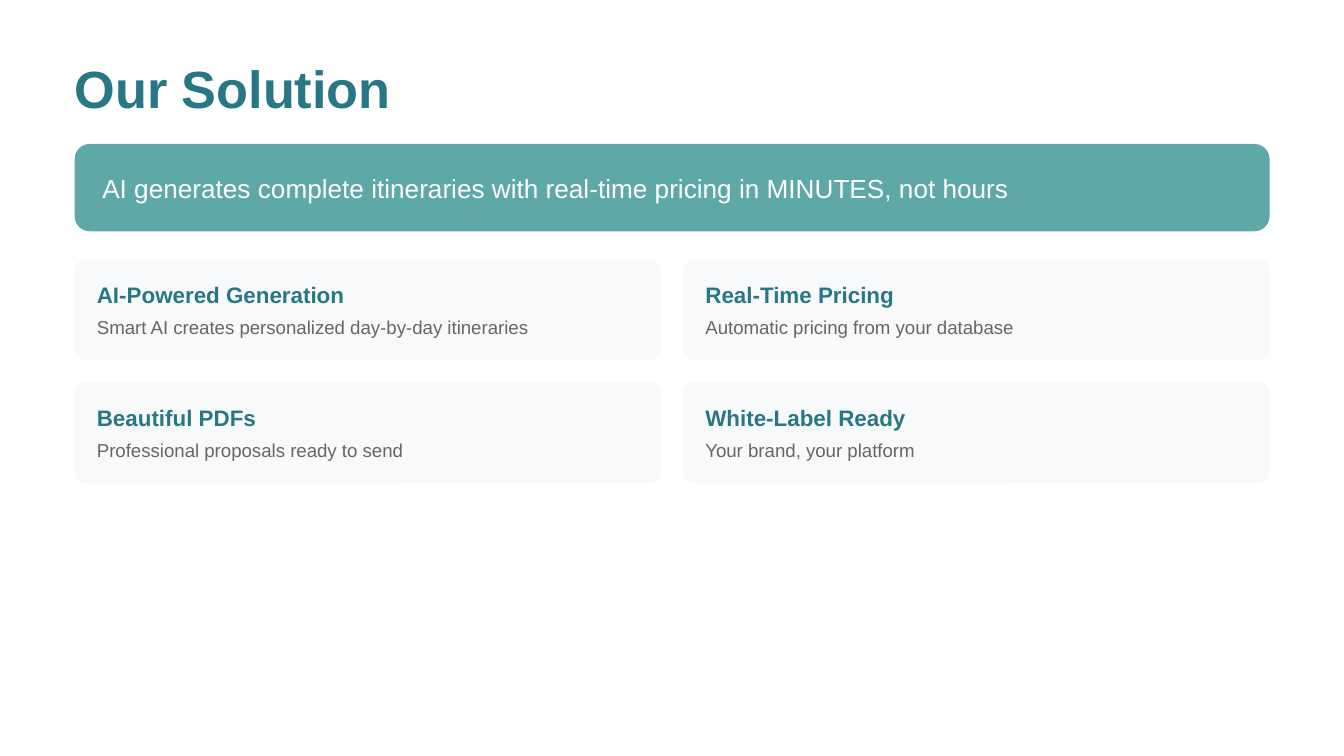
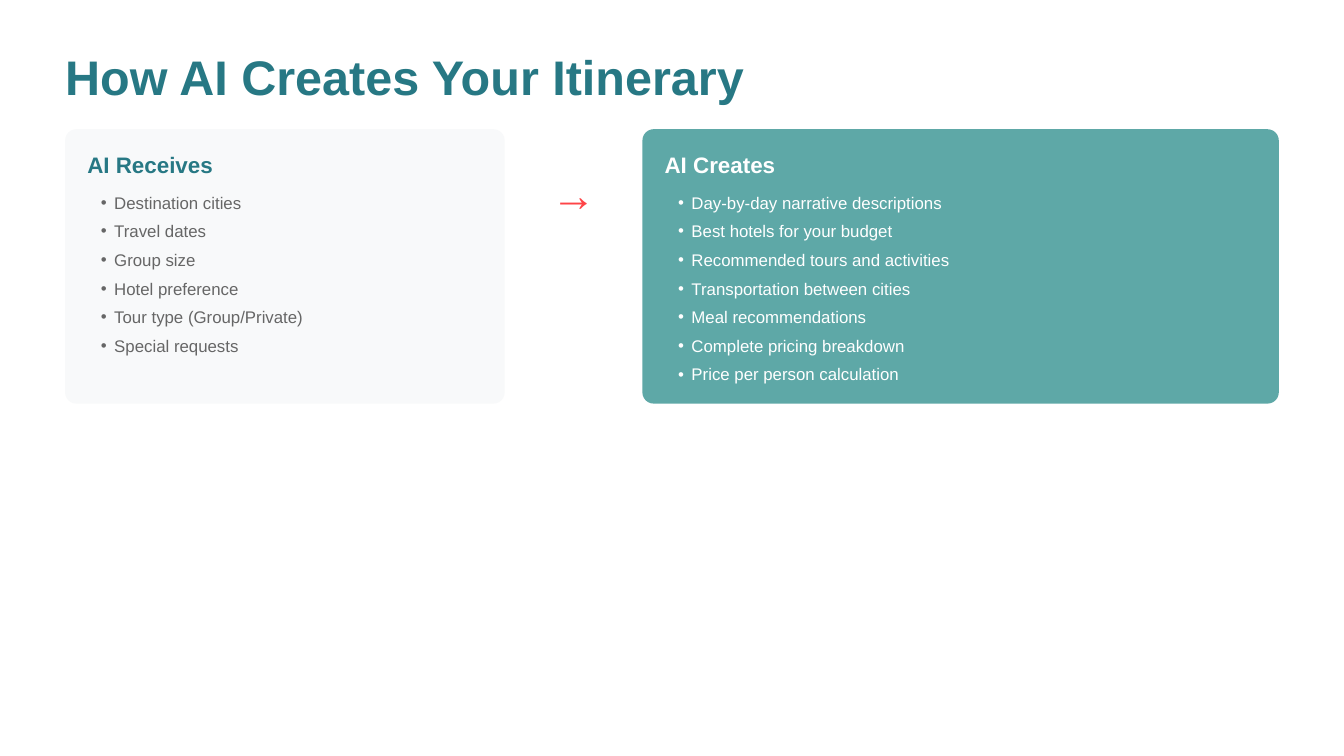
from dataclasses import dataclass

from lxml import etree
from pptx import Presentation
from pptx import util as u
from pptx.dml.color import RGBColor
from pptx.enum import shapes, text
from pptx.oxml import ns

WIDTH, HEIGHT = u.Inches(10), u.Inches(5.625)
# The grid has 100 columns and 100 rows
COLUMN, ROW = WIDTH / 100, HEIGHT / 100
PAD_X, PAD_Y = 1.65, 2.93

FONT = "Arial"
TEAL = RGBColor(0x27, 0x78, 0x84)
LIGHT_TEAL = RGBColor(0x5E, 0xA8, 0xA7)
PALE = RGBColor(0xF8, 0xF9, 0xFA)
GREY = RGBColor(0x66, 0x66, 0x66)
CORAL = RGBColor(0xFE, 0x44, 0x47)
WHITE = RGBColor(0xFF, 0xFF, 0xFF)

TITLE_ONLY, TWO_CONTENT = 5, 3

FEATURES = [
    ("AI-Powered Generation", "Smart AI creates personalized day-by-day itineraries"),
    ("Real-Time Pricing", "Automatic pricing from your database"),
    ("Beautiful PDFs", "Professional proposals ready to send"),
    ("White-Label Ready", "Your brand, your platform"),
]
RECEIVES = [
    "Destination cities", "Travel dates", "Group size", "Hotel preference",
    "Tour type (Group/Private)", "Special requests",
]
CREATES = [
    "Day-by-day narrative descriptions", "Best hotels for your budget",
    "Recommended tours and activities", "Transportation between cities",
    "Meal recommendations", "Complete pricing breakdown",
    "Price per person calculation",
]


@dataclass
class Box:
    """An area in grid columns and rows."""
    left: float
    top: float
    width: float
    height: float

    def inner(self, dx, dy, height):
        return Box(self.left + dx, self.top + dy, self.width - 2 * dx, height)

    def lengths(self):
        return (round(self.left * COLUMN), round(self.top * ROW),
                round(self.width * COLUMN), round(self.height * ROW))


def place(shape, box):
    shape.left, shape.top, shape.width, shape.height = box.lengths()


def write(shape, lines, size, color, bold=False, align=text.PP_ALIGN.LEFT, after=0):
    """Fill a shape with one paragraph per line, without insets."""
    frame = shape.text_frame
    frame.word_wrap = True
    frame.auto_size = text.MSO_AUTO_SIZE.NONE
    frame.vertical_anchor = text.MSO_ANCHOR.TOP
    frame.margin_left = frame.margin_right = frame.margin_top = frame.margin_bottom = 0
    for index, line in enumerate(lines):
        para = frame.add_paragraph() if index else frame.paragraphs[0]
        para.alignment = align
        para.space_before, para.space_after = u.Pt(0), u.Pt(after)
        span = para.add_run()
        span.text = line
        span.font.name, span.font.size = FONT, u.Pt(size)
        span.font.bold, span.font.color.rgb = bold, color


def add_title(page, words, box, size):
    place(page.shapes.title, box)
    write(page.shapes.title, [words], size, TEAL, bold=True)


def add_label(page, words, box, size, color, **style):
    write(page.shapes.add_textbox(*box.lengths()), [words], size, color, **style)


def add_card(page, box, fill, rounding):
    card = page.shapes.add_shape(shapes.MSO_SHAPE.ROUNDED_RECTANGLE, *box.lengths())
    card.adjustments[0] = rounding
    card.shadow.inherit = False
    card.fill.solid()
    card.fill.fore_color.rgb = fill
    card.line.fill.background()
    return card


def add_heading(page, words, box, color):
    add_label(page, words, box.inner(PAD_X, PAD_Y, 3.4), 12, color, bold=True)


def add_banner(page, box, words):
    add_card(page, box, LIGHT_TEAL, 0.172)
    add_label(page, words, box.inner(2.05, 3.7, 4.1), 14, WHITE)


def add_feature_grid(page, box, features, columns=2):
    rows = len(features) // columns
    width = (box.width - PAD_X * (columns - 1)) / columns
    height = (box.height - PAD_Y * (rows - 1)) / rows
    for index, (heading, detail) in enumerate(features):
        row, column = divmod(index, columns)
        cell = Box(box.left + column * (width + PAD_X),
                   box.top + row * (height + PAD_Y), width, height)
        add_card(page, cell, PALE, 0.112)
        add_heading(page, heading, cell, TEAL)
        add_label(page, detail, cell.inner(PAD_X, 7.45, 2.85), 10, GREY)


def add_list_panel(page, body, box, heading, items, fill, heading_color, color):
    card = add_card(page, box, fill, 0.041)
    add_heading(page, heading, box, heading_color)
    # Bullet list, brought in front of its card
    card.element.addnext(body.element)
    place(body, box.inner(PAD_X, 8.35, 3.43 * len(items)))
    write(body, items, 9, color, after=4.5)
    body.text_frame.margin_left = u.Inches(0.1)
    for para in body.text_frame.paragraphs:
        properties = para._p.get_or_add_pPr()
        properties.set("marL", str(u.Inches(0.1)))
        properties.set("indent", str(-u.Inches(0.1)))
        etree.SubElement(properties, ns.qn("a:buChar")).set("char", "•")


def build_solution(deck):
    page = deck.slides.add_slide(deck.slide_layouts[TITLE_ONLY])
    add_title(page, "Our Solution", Box(5.56, 7.5, 90.7, 8), 28)
    add_banner(page, Box(5.56, 19.05, 88.9, 11.55),
               "AI generates complete itineraries with real-time pricing in MINUTES, not hours")
    add_feature_grid(page, Box(5.56, 34.3, 88.9, 29.6), FEATURES)


def build_process(deck):
    page = deck.slides.add_slide(deck.slide_layouts[TWO_CONTENT])
    add_title(page, "How AI Creates Your Itinerary", Box(4.85, 6.2, 92.1, 7.3), 26)
    inputs, outputs = Box(4.85, 17.1, 32.7, 36.3), Box(47.8, 17.1, 47.35, 36.3)
    add_list_panel(page, page.placeholders[1], inputs, "AI Receives", RECEIVES,
                   PALE, TEAL, GREY)
    # Arrow centred in the gap between the panels
    middle = (inputs.left + inputs.width + outputs.left) / 2
    add_label(page, "→", Box(middle - 1.7, inputs.top + 4.95, 3.4, 6.95), 24, CORAL,
              align=text.PP_ALIGN.CENTER)
    add_list_panel(page, page.placeholders[2], outputs, "AI Creates", CREATES,
                   LIGHT_TEAL, WHITE, WHITE)


def main():
    deck = Presentation()
    deck.slide_width, deck.slide_height = WIDTH, HEIGHT
    build_solution(deck)
    build_process(deck)
    deck.save("out.pptx")


if __name__ == "__main__":
    main()
